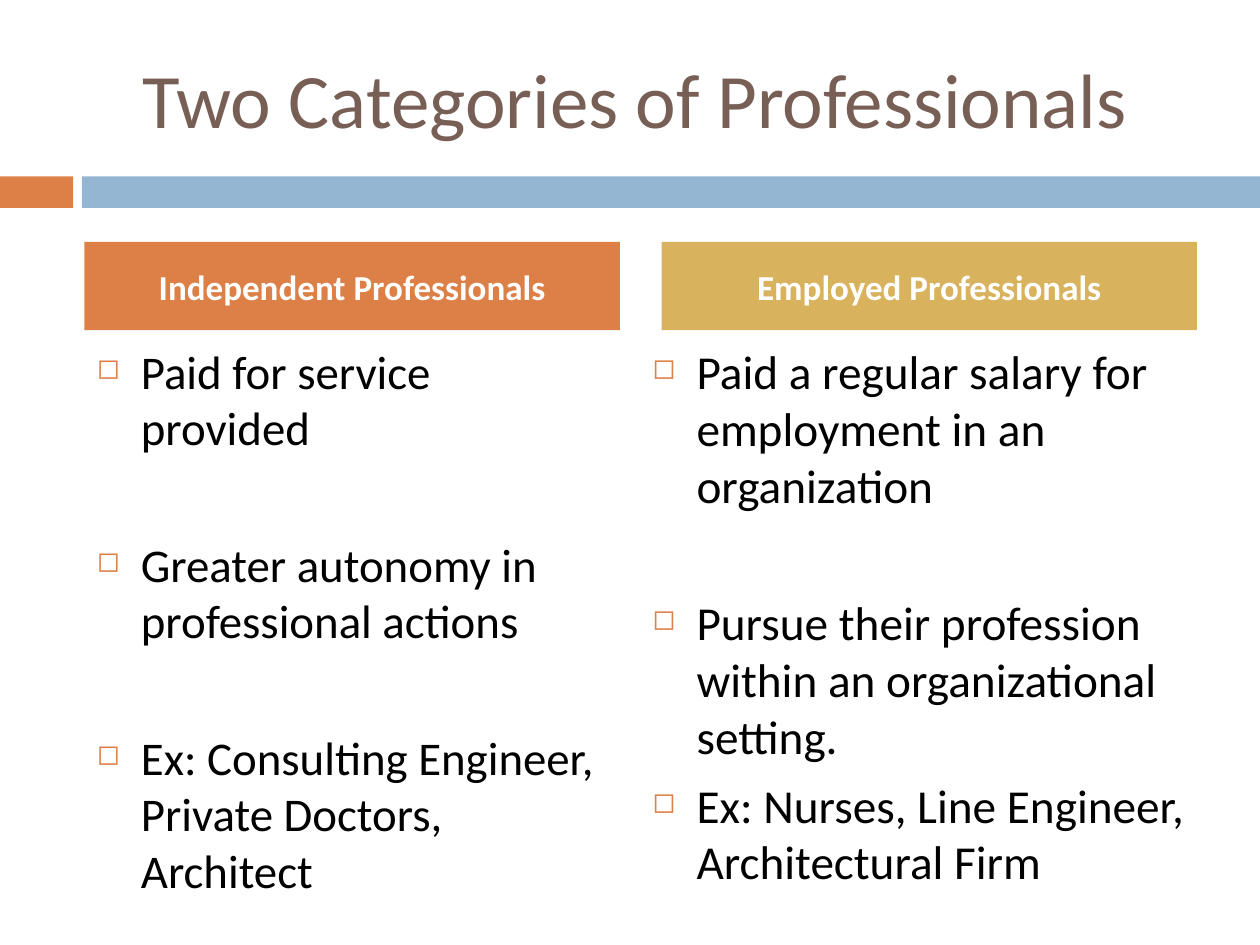
"""Build a slide that compares two categories of professionals."""
from dataclasses import dataclass

from lxml import etree
from pptx import Presentation
from pptx.dml.color import RGBColor
from pptx.enum.shapes import MSO_SHAPE
from pptx.enum.text import MSO_ANCHOR, PP_ALIGN
from pptx.oxml.ns import qn
from pptx.util import Inches, Pt

RECT = MSO_SHAPE.RECTANGLE
MIDDLE = MSO_ANCHOR.MIDDLE
TOP = MSO_ANCHOR.TOP
CENTER = PP_ALIGN.CENTER
LEFT = PP_ALIGN.LEFT


@dataclass(frozen=True)
class Theme:
    font: str = "Calibri"
    brown: str = "775F55"
    orange: str = "DD8047"
    blue: str = "94B6D2"
    gold: str = "D8B25C"
    black: str = "000000"
    white: str = "FFFFFF"
    title: float = 44
    head: float = 20
    near: float = 7
    far: float = 46


THEME = Theme()


def style(para, size, color, bold=False, align=LEFT):
    para.alignment = align
    font = para.font
    font.name, font.size, font.bold = THEME.font, Pt(size), bold
    font.color.rgb = RGBColor.from_string(color)


def add_bar(slide, box, color):
    bar = slide.shapes.add_shape(RECT, *map(Inches, box))
    bar.shadow.inherit = False
    bar.fill.solid()
    bar.fill.fore_color.rgb = RGBColor.from_string(color)
    bar.line.fill.background()
    return bar


def add_frame(slide, box, anchor):
    frame = slide.shapes.add_textbox(*map(Inches, box)).text_frame
    frame.word_wrap = True
    frame.vertical_anchor = anchor
    return frame


def add_title(slide, text):
    para = add_frame(slide, (0.58, 0.3, 8.92, 0.95), MIDDLE).paragraphs[0]
    para.text = text
    style(para, THEME.title, THEME.brown, align=CENTER)


def add_head(slide, left, text, color):
    frame = add_bar(slide, (left, 1.92, 4.25, 0.7), color).text_frame
    frame.word_wrap = True
    frame.vertical_anchor = MIDDLE
    para = frame.paragraphs[0]
    para.text = text
    style(para, THEME.head, THEME.white, bold=True, align=CENTER)


def add_bullet(para):
    props = para._p.get_or_add_pPr()
    props.set("marL", str(Inches(0.35)))
    props.set("indent", str(-Inches(0.35)))
    tint = etree.SubElement(props, qn("a:buClr"))
    etree.SubElement(tint, qn("a:srgbClr"), val=THEME.orange)
    etree.SubElement(props, qn("a:buSzPct"), val="60000")
    etree.SubElement(props, qn("a:buChar"), char="◻")


def add_list(slide, left, width, size, items):
    frame = add_frame(slide, (left, 2.67, width, 3.92), TOP)
    for i, (text, gap) in enumerate(items):
        para = frame.add_paragraph() if i else frame.paragraphs[0]
        para.text = text
        add_bullet(para)
        para.space_before = Pt(gap)
        style(para, size, THEME.black)


def main():
    deck = Presentation()
    deck.slide_width, deck.slide_height = Inches(10), Inches(7.5)
    slide = deck.slides.add_slide(deck.slide_layouts[6])
    add_bar(slide, (0, 1.4, 0.58, 0.25), THEME.orange)
    add_bar(slide, (0.65, 1.4, 9.35, 0.25), THEME.blue)
    add_title(slide, "Two Categories of Professionals")
    add_list(slide, 0.67, 4.25, 26.8, [
        ("Paid for service provided", 0),
        ("Greater autonomy in professional actions", THEME.far),
        ("Ex: Consulting Engineer, Private Doctors, Architect", THEME.far),
    ])
    add_list(slide, 5.08, 4.8, 27, [
        ("Paid a regular salary for employment in an organization", 0),
        ("Pursue their profession within an organizational setting.", THEME.far),
        ("Ex: Nurses, Line Engineer, Architectural Firm", THEME.near),
    ])
    add_head(slide, 0.67, "Independent Professionals", THEME.orange)
    add_head(slide, 5.25, "Employed Professionals", THEME.gold)
    deck.save("out.pptx")


if __name__ == "__main__":
    main()
